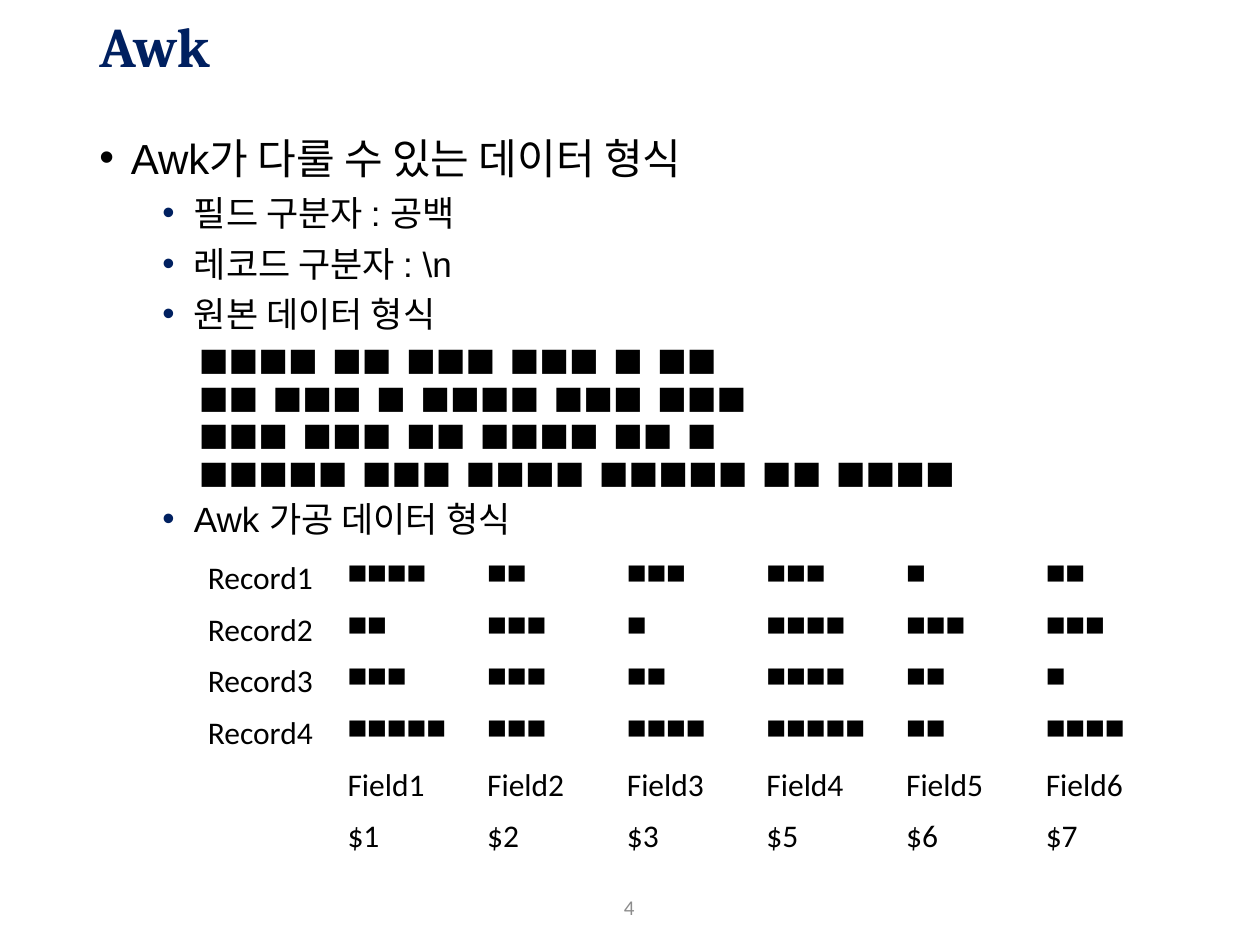
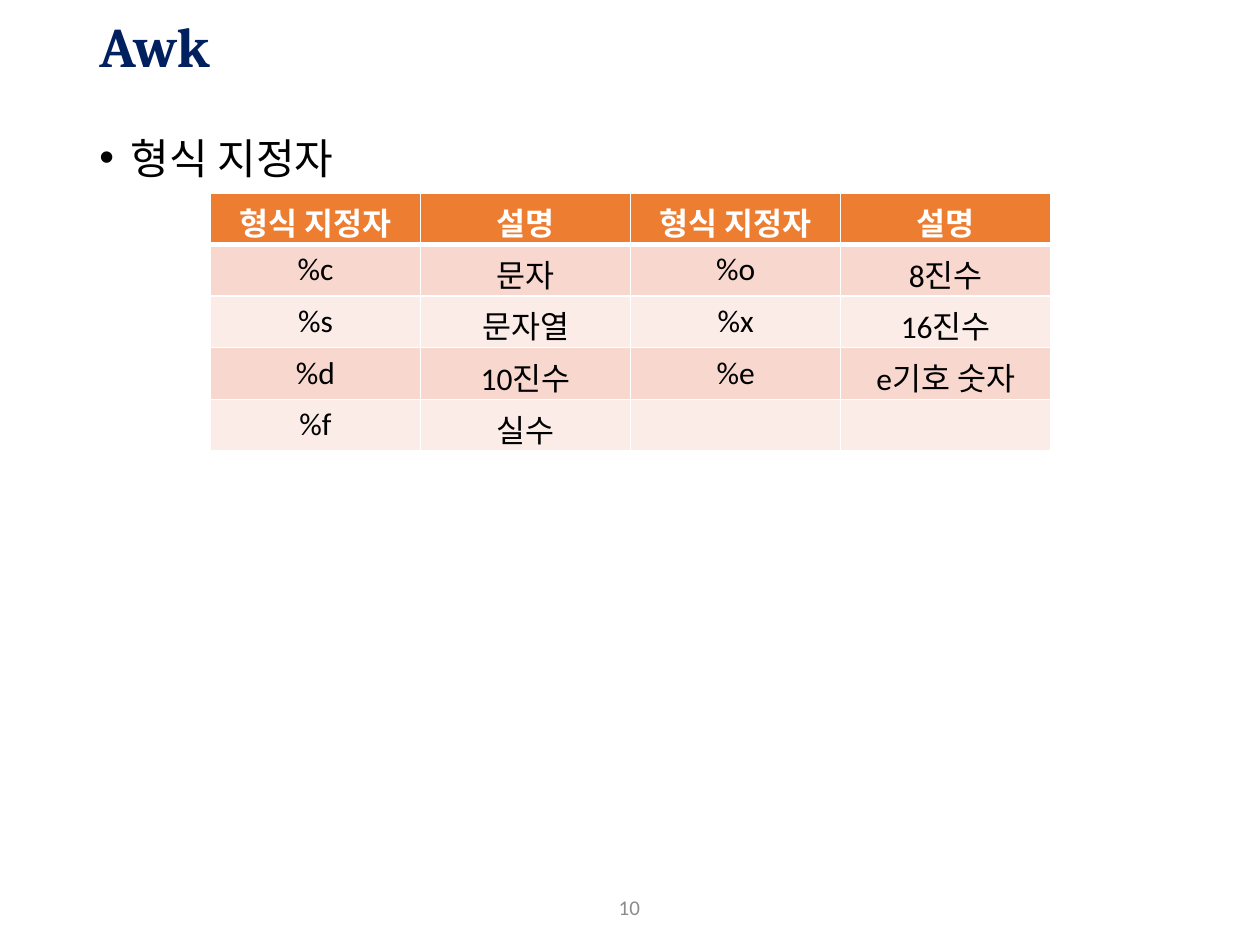
from lxml import etree
from pptx import Presentation
from pptx.dml.color import RGBColor
from pptx.enum.text import MSO_ANCHOR, PP_ALIGN
from pptx.oxml.ns import qn
from pptx.util import Inches, Pt

CENTER, LEFT = PP_ALIGN.CENTER, PP_ALIGN.LEFT
MIDDLE, TOP = MSO_ANCHOR.MIDDLE, MSO_ANCHOR.TOP

# Content
TITLE = "Awk"
RECORDS = [
    ["■■■■", "■■", "■■■", "■■■", "■", "■■"],
    ["■■", "■■■", "■", "■■■■", "■■■", "■■■"],
    ["■■■", "■■■", "■■", "■■■■", "■■", "■"],
    ["■■■■■", "■■■", "■■■■", "■■■■■", "■■", "■■■■"],
]
FIELD_VARIABLES = ["$1", "$2", "$3", "$5", "$6", "$7"]
FIELD_SEPARATOR = "  "
# Each bullet: level, text, points of space above
DATA_BULLETS = [
    (0, "Awk가 다룰 수 있는 데이터 형식", 10),
    (1, "필드 구분자 : 공백", 5),
    (1, "레코드 구분자 : \\n", 5),
    (1, "원본 데이터 형식", 5),
    (1, "Awk 가공 데이터 형식", 93),  # leaves room for the raw records
]
SPECIFIER_BULLETS = [(0, "형식 지정자", 10)]
SPECIFIERS = [
    ["형식 지정자", "설명", "형식 지정자", "설명"],
    ["%c", "문자", "%o", "8진수"],
    ["%s", "문자열", "%x", "16진수"],
    ["%d", "10진수", "%e", "e기호 숫자"],
    ["%f", "실수", "", ""],
]

# Shared style
NAVY, BLACK, WHITE, GRAY = "002060", "000000", "FFFFFF", "8C8C8C"
ORANGE, BANDS = "ED7D31", ["F8D7CE", "FCECE8"]
TITLE_FONT = {"name": "Cambria", "size": Pt(32), "bold": True}
PAGE_FONT = {"name": "Calibri", "size": Pt(12)}
CELL_FONT = {"name": "Calibri", "size": Pt(18), "bold": False}
FIELD_FONT = {**CELL_FONT, "size": Pt(12)}
HEADER_FONT = {**CELL_FONT, "bold": True}
# Per level: font, left margin in inches, bullet colour
LEVELS = [
    ({"name": "Arial", "size": Pt(24)}, 0.25, BLACK),
    ({"name": "Arial", "size": Pt(20)}, 0.75, NAVY),
]
ROW_HEIGHT = 0.41


def rgb(color):
    return RGBColor.from_string(color)


def write(paragraph, text, font, color, align=LEFT):
    paragraph.alignment = align
    run = paragraph.add_run()
    run.text = text
    for name, value in font.items():
        setattr(run.font, name, value)
    run.font.color.rgb = rgb(color)


def add_text_frame(slide, left, top, width, height, anchor=TOP):
    shape = slide.shapes.add_textbox(*map(Inches, (left, top, width, height)))
    frame = shape.text_frame
    frame.word_wrap = True
    frame.vertical_anchor = anchor
    return frame


def paragraphs_for(frame, items):
    """Pair each item with its own paragraph."""
    for index, item in enumerate(items):
        yield (frame.add_paragraph() if index else frame.paragraphs[0]), item


def set_bullet(paragraph, margin, color):
    properties = paragraph._p.get_or_add_pPr()
    properties.set("marL", str(Inches(margin)))
    properties.set("indent", str(Inches(-0.25)))
    bullet_color = etree.SubElement(properties, qn("a:buClr"))
    etree.SubElement(bullet_color, qn("a:srgbClr"), val=color)
    etree.SubElement(properties, qn("a:buFont"), typeface="Arial")
    etree.SubElement(properties, qn("a:buChar"), char="•")


def set_borders(cell, color, bottom):
    properties = cell._tc.get_or_add_tcPr()
    sides = [("L", 1), ("R", 1), ("T", 1), ("B", bottom)]
    for index, (side, points) in enumerate(sides):
        line = etree.Element(qn(f"a:ln{side}"), w=str(Pt(points)))
        fill = etree.SubElement(line, qn("a:solidFill"))
        etree.SubElement(fill, qn("a:srgbClr"), val=color)
        properties.insert(index, line)


def add_table(slide, rows, left, top, width):
    """Add an unstyled table and yield row, column, cell and text."""
    row_count, column_count = len(rows), len(rows[0])
    table = slide.shapes.add_table(
        row_count, column_count, Inches(left), Inches(top),
        Inches(width), Inches(ROW_HEIGHT * row_count)).table
    table.first_row = table.horz_banding = False
    for row_index, row in enumerate(rows):
        for column_index, text in enumerate(row):
            yield row_index, column_index, table.cell(row_index, column_index), text


def add_base_slide(presentation, page, bullets):
    slide = presentation.slides.add_slide(presentation.slide_layouts[6])
    # Page number
    footer = add_text_frame(slide, 4.76, 7, 0.47, 0.4, MIDDLE)
    write(footer.paragraphs[0], str(page), PAGE_FONT, GRAY, CENTER)
    # Title
    heading = add_text_frame(slide, 0.69, 0.11, 8.62, 0.57, MIDDLE).paragraphs[0]
    heading.line_spacing = 0.9
    write(heading, TITLE, TITLE_FONT, NAVY)
    # Bullets
    body = add_text_frame(slide, 0.69, 1, 8.62, 5.68)
    for paragraph, (level, text, space) in paragraphs_for(body, bullets):
        font, margin, bullet_color = LEVELS[level]
        paragraph.level = level
        paragraph.space_before = Pt(space)
        set_bullet(paragraph, margin, bullet_color)
        write(paragraph, text, font, BLACK)
    return slide


def add_data_slide(presentation):
    slide = add_base_slide(presentation, 4, DATA_BULLETS)
    # Raw records
    raw = add_text_frame(slide, 1.48, 2.64, 6.81, 1.31)
    for paragraph, record in paragraphs_for(raw, RECORDS):
        write(paragraph, FIELD_SEPARATOR.join(record), CELL_FONT, BLACK)
    # Records split into fields
    rows = [[f"Record{number}", *record] for number, record in enumerate(RECORDS, 1)]
    rows.append([""] + [f"Field{number}" for number in range(1, 7)])
    rows.append(["", *FIELD_VARIABLES])
    for row, column, cell, text in add_table(slide, rows, 1.55, 4.39, 7.76):
        cell.fill.background()
        is_field = column > 0 and row < len(RECORDS)
        if text:
            write(cell.text_frame.paragraphs[0], text,
                  FIELD_FONT if is_field else CELL_FONT, BLACK)


def add_specifier_slide(presentation):
    slide = add_base_slide(presentation, 10, SPECIFIER_BULLETS)
    for row, _, cell, text in add_table(slide, SPECIFIERS, 1.67, 1.53, 6.67):
        header = row == 0
        cell.fill.solid()
        cell.fill.fore_color.rgb = rgb(ORANGE if header else BANDS[(row - 1) % 2])
        set_borders(cell, WHITE, bottom=3 if header else 1)
        if text:
            write(cell.text_frame.paragraphs[0], text,
                  HEADER_FONT if header else CELL_FONT,
                  WHITE if header else BLACK, CENTER)


def main():
    presentation = Presentation()
    presentation.slide_width, presentation.slide_height = Inches(10), Inches(7.5)
    add_data_slide(presentation)
    add_specifier_slide(presentation)
    presentation.save("out.pptx")


if __name__ == "__main__":
    main()
